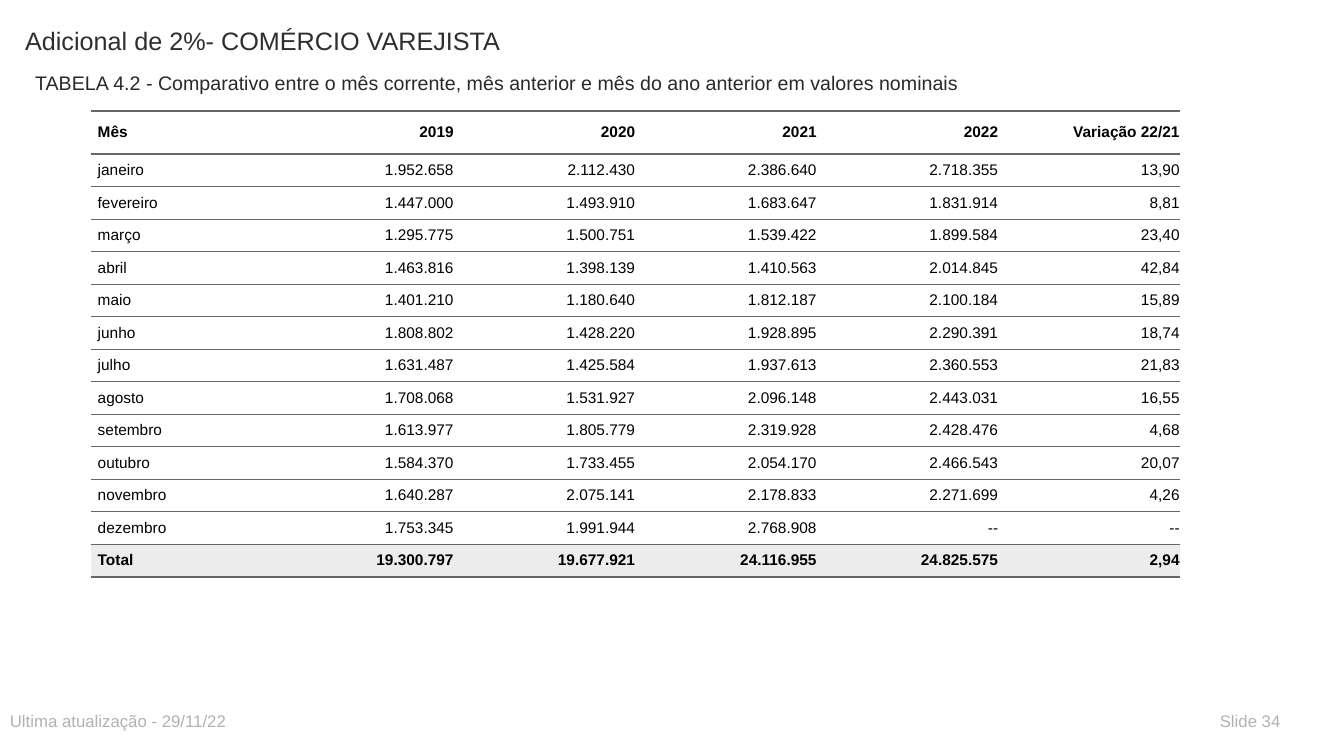
from lxml.etree import SubElement
from pptx import Presentation
from pptx.dml.color import RGBColor
from pptx.enum.text import MSO_ANCHOR as Anchor, PP_ALIGN as Align
from pptx.oxml.ns import qn
from pptx.util import Inches, Pt

FONT = "Arial"
BLACK = RGBColor(0x00, 0x00, 0x00)
WHITE = RGBColor(0xFF, 0xFF, 0xFF)
PALE = RGBColor(0xEC, 0xEC, 0xEC)
RULE = RGBColor(0x66, 0x66, 0x66)
DARK = RGBColor(0x2D, 0x2E, 0x2D)
INK = RGBColor(0x29, 0x29, 0x29)
GREY = RGBColor(0xB2, 0xB2, 0xB2)
PLAIN = "{2D5ABB26-0587-4C30-8999-92F81FD0307C}"  # no style, no grid

# text, (left, top, width, height), size, colour
LABELS = [
    ("Adicional de 2%- COMÉRCIO VAREJISTA", (0.15, 0.2, 8, 0.59), 18, DARK),
    ("TABELA 4.2 - Comparativo entre o mês corrente, mês anterior e mês "
     "do ano anterior em valores nominais", (0.25, 0.65, 10, 0.3), 14, INK),
    ("Ultima atualização - 29/11/22", (0, 7, 6.5, 0.3), 12, GREY),
    ("Slide 34", (12, 7, 0.9, 0.3), 12, GREY),
]

ROWS = [
    ("Mês", "2019", "2020", "2021", "2022", "Variação 22/21"),
    ("janeiro", "1.952.658", "2.112.430", "2.386.640", "2.718.355", "13,90"),
    ("fevereiro", "1.447.000", "1.493.910", "1.683.647", "1.831.914", "8,81"),
    ("março", "1.295.775", "1.500.751", "1.539.422", "1.899.584", "23,40"),
    ("abril", "1.463.816", "1.398.139", "1.410.563", "2.014.845", "42,84"),
    ("maio", "1.401.210", "1.180.640", "1.812.187", "2.100.184", "15,89"),
    ("junho", "1.808.802", "1.428.220", "1.928.895", "2.290.391", "18,74"),
    ("julho", "1.631.487", "1.425.584", "1.937.613", "2.360.553", "21,83"),
    ("agosto", "1.708.068", "1.531.927", "2.096.148", "2.443.031", "16,55"),
    ("setembro", "1.613.977", "1.805.779", "2.319.928", "2.428.476", "4,68"),
    ("outubro", "1.584.370", "1.733.455", "2.054.170", "2.466.543", "20,07"),
    ("novembro", "1.640.287", "2.075.141", "2.178.833", "2.271.699", "4,26"),
    ("dezembro", "1.753.345", "1.991.944", "2.768.908", "--", "--"),
    ("Total", "19.300.797", "19.677.921", "24.116.955", "24.825.575", "2,94"),
]
LEFT, TOP, COL_W, HEAD_H, ROW_H = 0.9, 1.1, 1.8, 0.43, 0.31
THICK, THIN = 2, 0.5


def style(para, size, color, bold=False):
    font = para.runs[0].font
    font.name, font.size, font.bold = FONT, Pt(size), bold
    font.color.rgb = color


def add_label(slide, text, box, size, color):
    frame = slide.shapes.add_textbox(*map(Inches, box)).text_frame
    frame.word_wrap = True
    frame.text = text
    style(frame.paragraphs[0], size, color)


def add_rule(cell, side, width):
    """Draw one border; side is lnT or lnB. Call before filling the cell."""
    line = SubElement(cell._tc.get_or_add_tcPr(), qn("a:" + side),
                      w=str(Pt(width)))
    fill = SubElement(line, qn("a:solidFill"))
    SubElement(fill, qn("a:srgbClr"), val=str(RULE))


def fill_cell(cell, text, row, col):
    last = len(ROWS) - 1
    add_rule(cell, "lnT", THICK if row < 2 else THIN)
    add_rule(cell, "lnB", THICK if row in (0, last) else THIN)
    cell.fill.solid()
    cell.fill.fore_color.rgb = PALE if row == last else WHITE
    cell.vertical_anchor = Anchor.MIDDLE
    cell.margin_left = cell.margin_right = 0
    cell.margin_top = cell.margin_bottom = Pt(5)
    cell.text = text
    para = cell.text_frame.paragraphs[0]
    para.alignment = Align.RIGHT if col else Align.LEFT
    para._p.get_or_add_pPr().set("marL", str(Pt(5)))
    style(para, 11, BLACK, bold=row in (0, last))


def add_grid(slide):
    count, cols = len(ROWS), len(ROWS[0])
    high = HEAD_H + ROW_H * (count - 1)
    table = slide.shapes.add_table(
        count, cols, *map(Inches, (LEFT, TOP, COL_W * cols, high))).table
    table.first_row = table.horz_banding = False
    table._tbl.tblPr.find(qn("a:tableStyleId")).text = PLAIN
    for column in table.columns:
        column.width = Inches(COL_W)
    for r, values in enumerate(ROWS):
        table.rows[r].height = Inches(ROW_H if r else HEAD_H)
        for c, text in enumerate(values):
            fill_cell(table.cell(r, c), text, r, c)


def main():
    deck = Presentation()
    deck.slide_width, deck.slide_height = Inches(13.33), Inches(7.5)
    slide = deck.slides.add_slide(deck.slide_layouts[6])
    for label in LABELS:
        add_label(slide, *label)
    add_grid(slide)
    deck.save("out.pptx")


if __name__ == "__main__":
    main()
